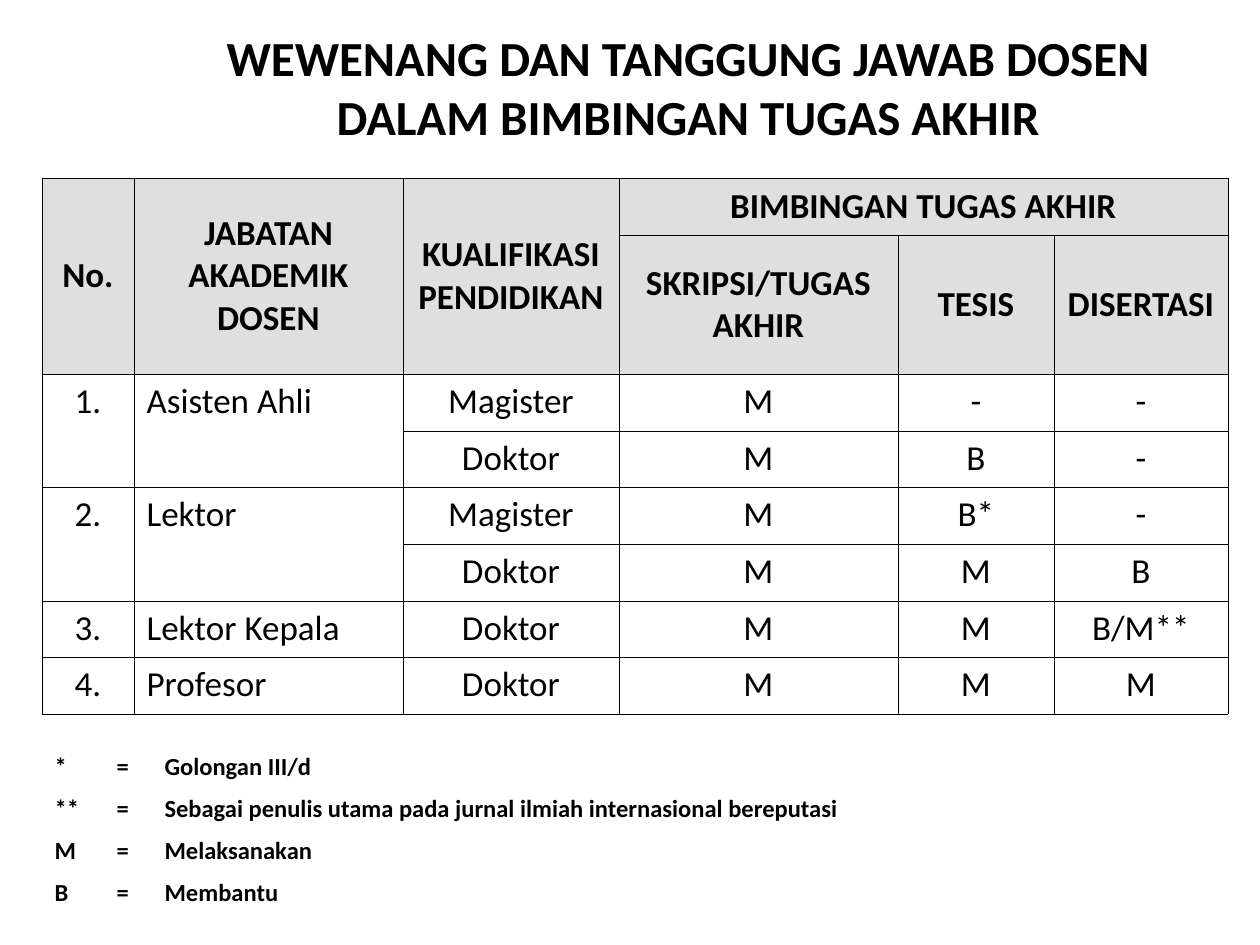
from lxml.etree import SubElement
from pptx import Presentation
from pptx.dml.color import RGBColor
from pptx.enum.text import MSO_ANCHOR, PP_ALIGN
from pptx.oxml.ns import qn
from pptx.util import Emu, Pt

PIXEL = 914400 / 126
BLACK = "000000"
HEADER_FILL = "DFDFDF"
HEADER_ROWS = 2
POSITION_COLUMN = 1

DUTIES = [
    ["No.", "JABATAN AKADEMIK DOSEN", "KUALIFIKASI PENDIDIKAN", "BIMBINGAN TUGAS AKHIR", "", ""],
    ["", "", "", "SKRIPSI/TUGAS AKHIR", "TESIS", "DISERTASI"],
    ["1.", "Asisten Ahli", "Magister", "M", "-", "-"],
    ["", "", "Doktor", "M", "B", "-"],
    ["2.", "Lektor", "Magister", "M", "B*", "-"],
    ["", "", "Doktor", "M", "M", "B"],
    ["3.", "Lektor Kepala", "Doktor", "M", "M", "B/M**"],
    ["4.", "Profesor", "Doktor", "M", "M", "M"],
]
DUTY_WIDTHS = [92, 269, 216, 279, 156, 174]
DUTY_HEIGHTS = [57, 139] + [57, 56, 57] * 2

LEGEND = [
    ["*", "=", "Golongan III/d"],
    ["**", "=", "Sebagai penulis utama pada jurnal ilmiah internasional bereputasi"],
    ["M", "=", "Melaksanakan"],
    ["B", "=", "Membantu"],
]
LEGEND_WIDTHS = [62, 48, 1024]
LEGEND_HEIGHTS = [42] * len(LEGEND)


def px(length):
    """Turn pixels into EMU."""
    return Emu(round(length * PIXEL))


def color(value):
    """Turn a hex string into a colour."""
    return RGBColor.from_string(value)


def set_text(text_frame, text, size, bold, alignment):
    """Write one formatted paragraph."""
    text_frame.text = text
    paragraph = text_frame.paragraphs[0]
    paragraph.alignment = alignment
    for run in paragraph.runs:
        run.font.name = "Calibri"
        run.font.size = Pt(size)
        run.font.bold = bold
        run.font.color.rgb = color(BLACK)


def add_title(slide, text):
    """Add the centred slide title."""
    shape = slide.shapes.add_textbox(px(189), px(21), px(998), px(125))
    text_frame = shape.text_frame
    text_frame.word_wrap = True
    text_frame.vertical_anchor = MSO_ANCHOR.MIDDLE
    text_frame.margin_bottom = 0
    set_text(text_frame, text, 28, True, PP_ALIGN.CENTER)


def add_plain_table(slide, left, top, widths, heights):
    """Add a table without header style or banding."""
    shape = slide.shapes.add_table(
        len(heights), len(widths), px(left), px(top), px(sum(widths)), px(sum(heights))
    )
    table = shape.table
    table.first_row = False
    table.horz_banding = False
    for column, width in zip(table.columns, widths):
        column.width = px(width)
    for row, height in zip(table.rows, heights):
        row.height = px(height)
    return table


def set_borders(cell):
    """Draw a thin line on each side of a cell."""
    properties = cell._tc.get_or_add_tcPr()
    for side in ("a:lnL", "a:lnR", "a:lnT", "a:lnB"):
        line = SubElement(properties, qn(side), w=str(Pt(0.45)))
        fill = SubElement(line, qn("a:solidFill"))
        SubElement(fill, qn("a:srgbClr"), val=BLACK)


def add_duty_table(slide):
    """Add the table of supervision duties."""
    table = add_plain_table(slide, 42, 178, DUTY_WIDTHS, DUTY_HEIGHTS)
    for row, texts in enumerate(DUTIES):
        header = row < HEADER_ROWS
        for column, text in enumerate(texts):
            cell = table.cell(row, column)
            set_borders(cell)
            if header:
                cell.fill.solid()
                cell.fill.fore_color.rgb = color(HEADER_FILL)
                cell.vertical_anchor = MSO_ANCHOR.MIDDLE
            else:
                cell.fill.background()
            left_aligned = column == POSITION_COLUMN and not header
            alignment = PP_ALIGN.LEFT if left_aligned else PP_ALIGN.CENTER
            set_text(cell.text_frame, text, 20, header, alignment)
    table.cell(0, 3).merge(table.cell(0, 5))
    for row, column in [(0, 0), (0, 1), (0, 2), (2, 0), (2, 1), (4, 0), (4, 1)]:
        table.cell(row, column).merge(table.cell(row + 1, column))


def add_legend(slide):
    """Add the borderless table that explains the symbols."""
    table = add_plain_table(slide, 42, 746, LEGEND_WIDTHS, LEGEND_HEIGHTS)
    for row, texts in enumerate(LEGEND):
        for column, text in enumerate(texts):
            cell = table.cell(row, column)
            cell.fill.background()
            set_text(cell.text_frame, text, 14, True, PP_ALIGN.LEFT)


def main():
    """Build and save the slide."""
    presentation = Presentation()
    presentation.slide_width = px(1260)
    presentation.slide_height = px(945)
    slide = presentation.slides.add_slide(presentation.slide_layouts[6])
    add_title(slide, "WEWENANG DAN TANGGUNG JAWAB DOSEN DALAM BIMBINGAN TUGAS AKHIR")
    add_duty_table(slide)
    add_legend(slide)
    presentation.save("out.pptx")


if __name__ == "__main__":
    main()
